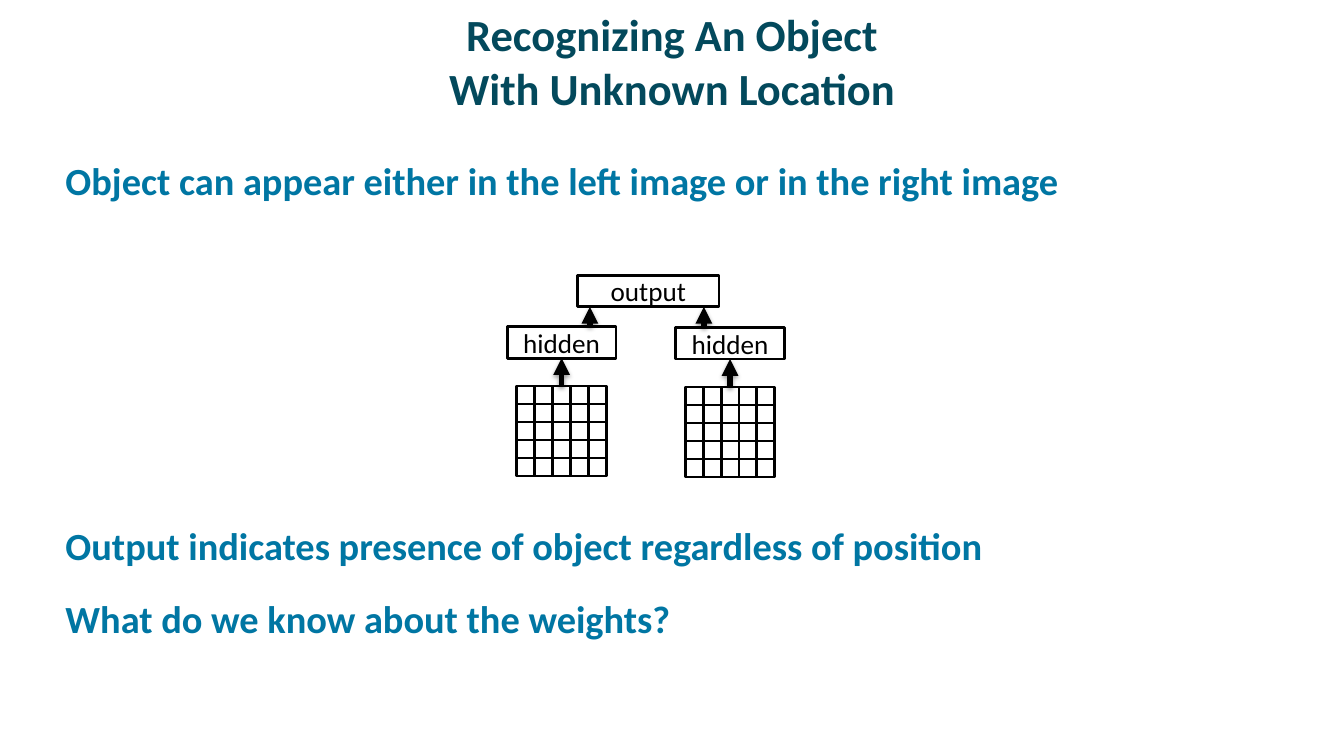
"""Build a slide on spotting an object in either of two images."""
from dataclasses import dataclass
from itertools import product
from typing import Any

from lxml import etree
from pptx import Presentation
from pptx.dml.color import RGBColor
from pptx.enum.shapes import MSO_CONNECTOR, MSO_SHAPE
from pptx.enum.text import MSO_ANCHOR, MSO_AUTO_SIZE, PP_ALIGN
from pptx.oxml import parse_xml
from pptx.oxml.ns import nsdecls, qn
from pptx.util import Inches, Pt

RECT = MSO_SHAPE.RECTANGLE
LINE = MSO_CONNECTOR.STRAIGHT
MIDDLE, TOP = MSO_ANCHOR.MIDDLE, MSO_ANCHOR.TOP
CENTER, LEFT = PP_ALIGN.CENTER, PP_ALIGN.LEFT
FIXED = MSO_AUTO_SIZE.NONE

WIDTH, HEIGHT = Inches(13.33), Inches(7.5)
COLS, ROWS = 75, 42
CELLS = 5
BLACK, WHITE, NAVY, BLUE = "000000", "FFFFFF", "03495C", "0076A3"
FONT = "Calibri"
SHADOW = (
    f'<a:effectLst {nsdecls("a")}>'
    '<a:outerShdw blurRad="39370" dist="20320" dir="5400000" rotWithShape="0">'
    '<a:srgbClr val="000000"><a:alpha val="38000"/></a:srgbClr>'
    "</a:outerShdw></a:effectLst>"
)


@dataclass(frozen=True)
class Box:
    """A rectangle in grid columns and rows."""

    col: float
    row: float
    wide: float
    high: float


@dataclass(frozen=True)
class Branch:
    """An image, its hidden layer and the column of its output arrow."""

    col: float
    row: float
    out: float


@dataclass(frozen=True)
class Point:
    """A body line with the space before it in points."""

    text: str
    space: float


OUTPUT = Box(32.24, 15.29, 7.88, 1.76)
BRANCHES = [Branch(28.3, 18.14, 32.92), Branch(37.7, 18.19, 39.28)]
TITLE = "Recognizing An Object\vWith Unknown Location"
POINTS = [
    Point("Object can appear either in the left image or in the right image", 0),
    Point("Output indicates presence of object regardless of position", 228),
    Point("What do we know about the weights?", 19),
]


def hue(code: str) -> RGBColor:
    """Turn a hex string into a colour."""
    return RGBColor.from_string(code)


def across(col: float) -> int:
    """Turn columns into a length."""
    return round(WIDTH * col / COLS)


def down(row: float) -> int:
    """Turn rows into a length."""
    return round(HEIGHT * row / ROWS)


def style(para: Any, size: float, code: str, bold: bool, align: Any) -> None:
    """Format a paragraph and its runs."""
    para.alignment = align
    for run in para.runs:
        run.font.name, run.font.size, run.font.bold = FONT, Pt(size), bold
        run.font.color.rgb = hue(code)


def place(holder: Any, left: float, top: float, wide: float, high: float, anchor: Any) -> Any:
    """Move a placeholder by shares of the slide and return its text frame."""
    holder.left, holder.top = round(WIDTH * left), round(HEIGHT * top)
    holder.width, holder.height = round(WIDTH * wide), round(HEIGHT * high)
    frame = holder.text_frame
    frame.auto_size, frame.word_wrap, frame.vertical_anchor = FIXED, True, anchor
    frame.margin_left = frame.margin_right = Inches(0.11)
    frame.margin_top = frame.margin_bottom = Inches(0.06)
    return frame


def draw_box(shapes: Any, box: Box, text: str = "") -> Any:
    """Draw a white box with a black border and an optional label."""
    shape = shapes.add_shape(
        RECT, across(box.col), down(box.row), across(box.wide), down(box.high)
    )
    shape.shadow.inherit = False
    shape.fill.solid()
    shape.fill.fore_color.rgb = hue(WHITE)
    shape.line.color.rgb = hue(BLACK)
    shape.line.width = Pt(2)
    if text:
        frame = shape.text_frame
        frame.text = text
        frame.vertical_anchor = MIDDLE
        style(frame.paragraphs[0], 19.4, BLACK, False, CENTER)
    return shape


def draw_arrow(shapes: Any, col: float, start: float, end: float) -> Any:
    """Draw an upright arrow with a soft shadow."""
    arrow = shapes.add_connector(LINE, across(col), down(start), across(col), down(end))
    arrow.line.color.rgb = hue(BLACK)
    arrow.line.width = Pt(4)
    outline = arrow.line._get_or_add_ln()
    etree.SubElement(outline, qn("a:tailEnd"), type="triangle")
    outline.getparent().append(parse_xml(SHADOW))
    return arrow


def draw_branch(shapes: Any, branch: Branch) -> None:
    """Draw an image grid, its hidden layer and both arrows."""
    layer = Box(branch.col, branch.row, 6.08, 1.76)
    mid = layer.col + layer.wide / 2
    left, top = mid - CELLS / 2, branch.row + 3.31
    group = shapes.add_group_shape()
    cells = [
        draw_box(group.shapes, Box(left + col, top + row, 1, 1))
        for row, col in product(range(CELLS), repeat=2)
    ]
    hidden = draw_box(shapes, layer, "hidden")
    feed = draw_arrow(shapes, mid, top, layer.row + layer.high)
    feed.begin_connect(cells[CELLS // 2], 0)
    feed.end_connect(hidden, 2)
    draw_arrow(shapes, branch.out, layer.row, OUTPUT.row + OUTPUT.high)


def fill_body(frame: Any) -> None:
    """Write the body lines without bullets."""
    frame.text = "\n".join(point.text for point in POINTS)
    for para, point in zip(frame.paragraphs, POINTS):
        style(para, 27.4, BLUE, True, LEFT)
        para.space_before = Pt(point.space)
        props = para._p.get_or_add_pPr()
        props.set("marL", str(Inches(0.1)))
        props.set("indent", "0")
        etree.SubElement(props, qn("a:buNone"))


def main() -> None:
    """Build and save the slide."""
    deck = Presentation()
    deck.slide_width, deck.slide_height = WIDTH, HEIGHT
    slide = deck.slides.add_slide(deck.slide_layouts[1])
    title, body = slide.placeholders
    head = place(title, 0.05, 0.02, 0.9, 0.12, MIDDLE)
    head.text = TITLE
    style(head.paragraphs[0], 31.8, NAVY, True, CENTER)
    fill_body(place(body, 0.033, 0.2, 0.917, 0.69, TOP))
    draw_box(slide.shapes, OUTPUT, "output")
    for branch in BRANCHES:
        draw_branch(slide.shapes, branch)
    deck.save("out.pptx")


if __name__ == "__main__":
    main()
